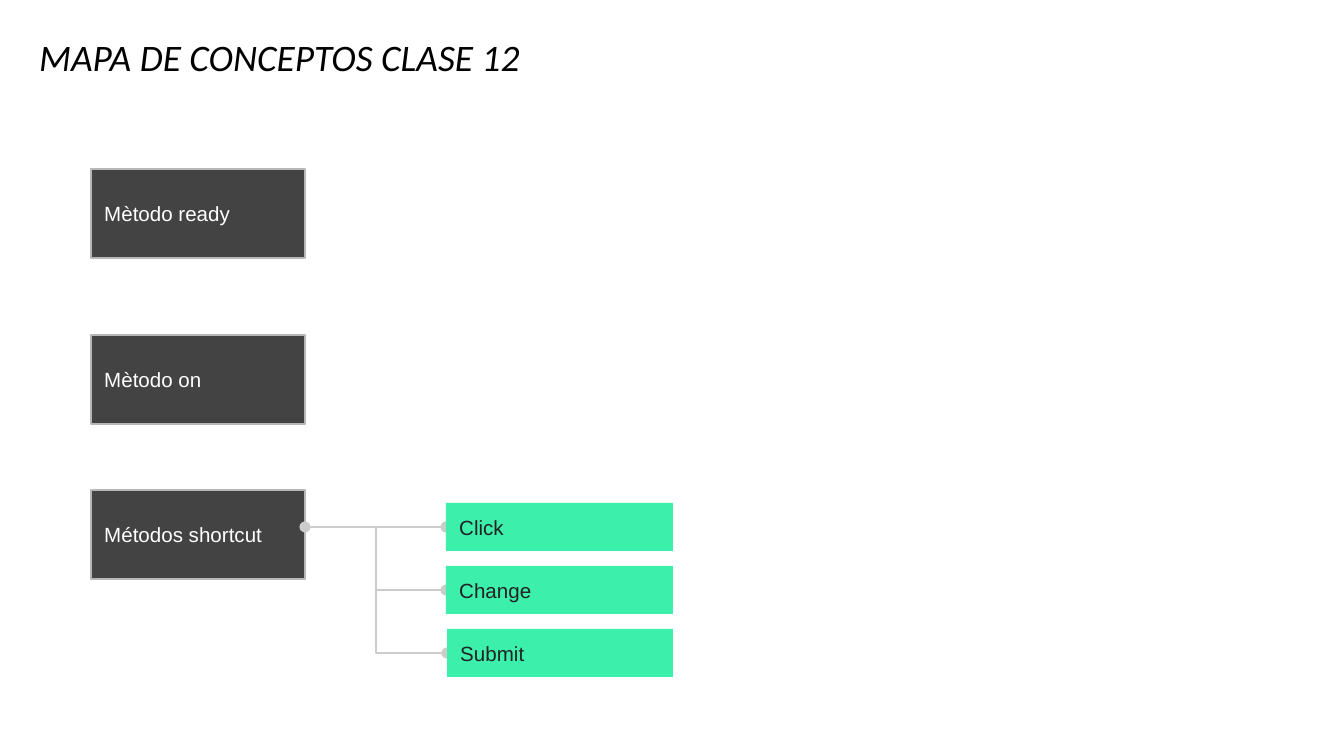
import pptx
import pptx.dml.color
import pptx.enum.shapes
import pptx.enum.text
import pptx.oxml.ns
import pptx.util
import lxml.etree

RGB = pptx.dml.color.RGBColor
ANCHOR = pptx.enum.text.MSO_ANCHOR
CONNECTOR = pptx.enum.shapes.MSO_CONNECTOR

BLACK = RGB(0x00, 0x00, 0x00)
WHITE = RGB(0xFF, 0xFF, 0xFF)
INK = RGB(0x22, 0x22, 0x22)
CHARCOAL = RGB(0x43, 0x43, 0x43)
BORDER_GREY = RGB(0xB7, 0xB7, 0xB7)
LINE_GREY = RGB(0xCC, 0xCC, 0xCC)
MINT = RGB(0x3C, 0xEF, 0xAB)

TITLE = "MAPA DE CONCEPTOS CLASE 12"
METHODS = [("Mètodo ready", 169), ("Mètodo on", 335), ("Métodos shortcut", 490)]
# text, left, width
SHORTCUTS = [("Click", 446, 227), ("Change", 446, 227), ("Submit", 447, 226)]

METHOD_LEFT, METHOD_WIDTH, METHOD_HEIGHT = 91, 214, 89
SHORTCUT_TOP, SHORTCUT_STEP, SHORTCUT_HEIGHT = 503, 63, 48


def px(length):
    return pptx.util.Emu(round(length * 914400 / 134.4))


def write(shape, text, font_name, size, color, anchor, italic=False):
    frame = shape.text_frame
    frame.word_wrap = True
    frame.vertical_anchor = anchor
    frame.margin_left = frame.margin_right = pptx.util.Inches(0.1)
    frame.margin_top = frame.margin_bottom = pptx.util.Inches(0.1)
    para = frame.paragraphs[0]
    para.text = text
    para.alignment = pptx.enum.text.PP_ALIGN.LEFT
    para.font.name = font_name
    para.font.size = pptx.util.Pt(size)
    para.font.italic = italic
    para.font.color.rgb = color


def add_box(slide, text, bounds, fill, text_color, border=None):
    box = slide.shapes.add_shape(
        pptx.enum.shapes.MSO_SHAPE.RECTANGLE, *map(px, bounds))
    box.shadow.inherit = False
    box.fill.solid()
    box.fill.fore_color.rgb = fill
    if border is None:
        box.line.fill.background()
    else:
        box.line.color.rgb = border
        box.line.width = pptx.util.Pt(0.75)
    write(box, text, "Arial", 11, text_color, ANCHOR.MIDDLE)


def add_link(slide, kind, start, end, oval_ends):
    link = slide.shapes.add_connector(kind, *map(px, start + end))
    link.line.color.rgb = LINE_GREY
    link.line.width = pptx.util.Pt(0.75)
    line = link.line._get_or_add_ln()
    qn = pptx.oxml.ns.qn
    for tag in oval_ends:
        lxml.etree.SubElement(line, qn(tag), type="oval")
    lxml.etree.SubElement(link._element.spPr, qn("a:effectLst"))


def main():
    deck = pptx.Presentation()
    deck.slide_width, deck.slide_height = px(1344), px(756)
    slide = deck.slides.add_slide(deck.slide_layouts[6])

    title = slide.shapes.add_textbox(px(26), px(30), px(1110), px(62))
    write(title, TITLE, "Calibri", 20, BLACK, ANCHOR.BOTTOM, italic=True)

    for text, top in METHODS:
        add_box(slide, text, (METHOD_LEFT, top, METHOD_WIDTH, METHOD_HEIGHT),
                CHARCOAL, WHITE, BORDER_GREY)

    half = SHORTCUT_HEIGHT // 2
    start = (METHOD_LEFT + METHOD_WIDTH, SHORTCUT_TOP + half)
    for index, (text, left, width) in enumerate(SHORTCUTS):
        top = SHORTCUT_TOP + index * SHORTCUT_STEP
        if index == 0:
            kind, oval_ends = CONNECTOR.STRAIGHT, ("a:headEnd", "a:tailEnd")
        else:
            kind, oval_ends = CONNECTOR.ELBOW, ("a:tailEnd",)
        add_link(slide, kind, start, (left, top + half), oval_ends)
        add_box(slide, text, (left, top, width, SHORTCUT_HEIGHT), MINT, INK)

    deck.save("out.pptx")


if __name__ == "__main__":
    main()
